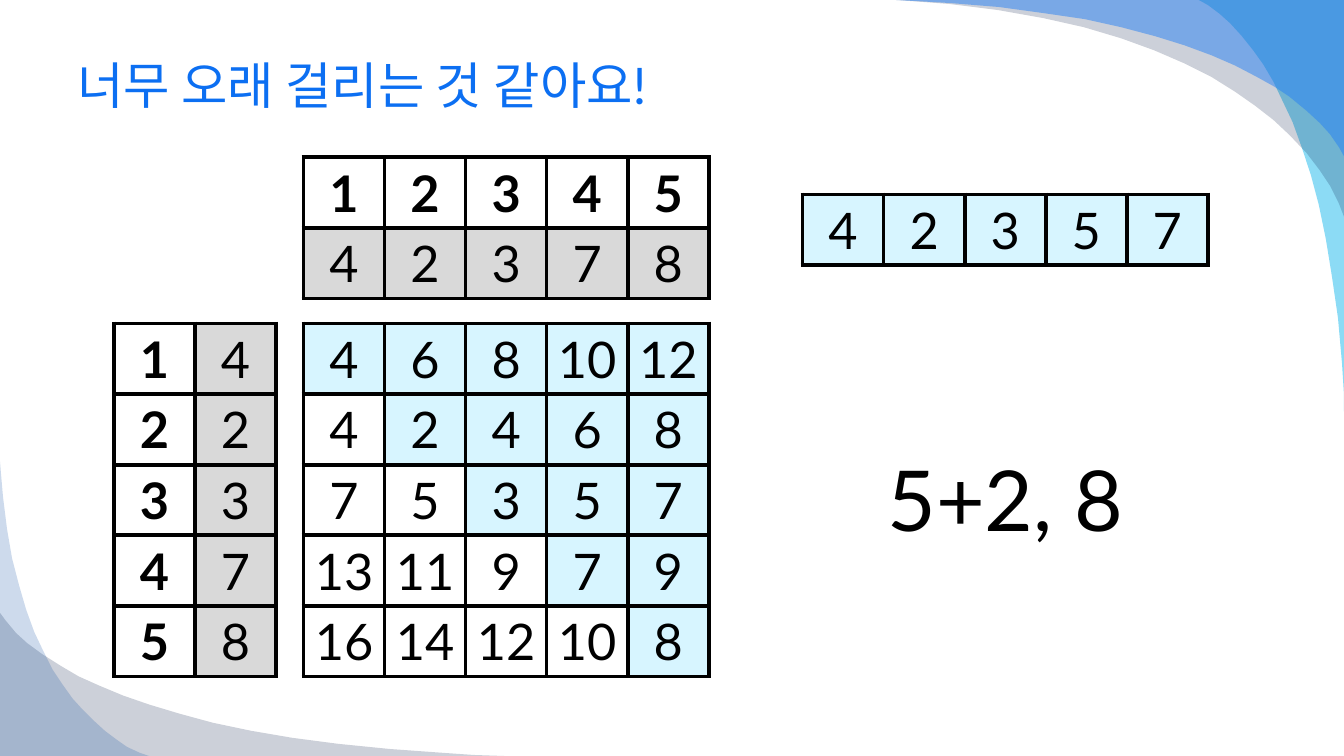
from collections.abc import Callable
from dataclasses import dataclass

from lxml import etree
from pptx import Presentation
from pptx.dml.color import RGBColor
from pptx.enum.text import MSO_ANCHOR, PP_ALIGN
from pptx.oxml.ns import qn
from pptx.util import Inches, Pt

MIDDLE = MSO_ANCHOR.MIDDLE
CENTER = PP_ALIGN.CENTER
LEFT = PP_ALIGN.LEFT

FONT = "Lato"
COLORS = {
    "black": "000000",
    "white": "FFFFFF",
    "grey": "D9D9D9",
    "ice": "D7F5FF",
    "title": "0C6FF2",
    "cyan": "00B1E9",
    "navy": "021741",
    "azure": "247FF4",
    "royal": "084AA1",
}
CELL_FILLS = {"index": "white", "value": "grey", "range": "ice", "unused": "white"}
COLUMN_WIDTH = 0.804
ROW_HEIGHT = 0.7
BORDER_PT = 3

Point = tuple[float, float]


@dataclass(frozen=True)
class Swoosh:
    color: str
    opacity: int
    outline: tuple[Point, ...]


@dataclass(frozen=True)
class Grid:
    left: float
    top: float
    rows: list[list[int]]
    role: Callable[[int, int], str]


@dataclass(frozen=True)
class Caption:
    text: str
    box: tuple[float, float, float, float]
    size: int
    color: str
    align: PP_ALIGN
    bottom_inset: float


SWOOSHES = (
    Swoosh("cyan", 45, (
        (13.33, 4.08), (13.33, 0), (11.89, 0), (11.98, 0.05), (12.1, 0.14),
        (12.2, 0.23), (12.31, 0.35), (12.43, 0.5), (12.53, 0.64), (12.63, 0.81),
        (12.72, 1), (12.82, 1.21), (12.91, 1.46), (13, 1.73), (13.08, 2.03),
        (13.15, 2.37), (13.21, 2.74), (13.27, 3.15), (13.31, 3.6), (13.33, 3.92))),
    Swoosh("navy", 20, (
        (8.89, 0), (13.33, 0), (13.33, 2.15), (13.28, 2.02), (13.19, 1.84),
        (13.09, 1.69), (12.96, 1.52), (12.79, 1.34), (12.63, 1.19), (12.45, 1.05),
        (12.25, 0.91), (12.01, 0.76), (11.75, 0.63), (11.45, 0.5), (11.12, 0.38),
        (10.75, 0.27), (10.35, 0.18), (9.9, 0.1), (9.42, 0.04), (9.16, 0.02))),
    Swoosh("azure", 49, (
        (8.89, 0), (13.33, 0), (13.33, 1.55), (13.28, 1.46), (13.19, 1.33),
        (13.09, 1.22), (12.96, 1.1), (12.79, 0.96), (12.64, 0.86), (12.46, 0.76),
        (12.25, 0.65), (12.02, 0.55), (11.75, 0.45), (11.46, 0.36), (11.12, 0.27),
        (10.76, 0.19), (10.35, 0.13), (9.91, 0.07), (9.42, 0.03), (9.07, 0.01))),
    Swoosh("navy", 20, (
        (5, 7.5), (0, 7.5), (0, 6.08), (0.06, 6.16), (0.16, 6.28),
        (0.27, 6.38), (0.42, 6.49), (0.61, 6.61), (0.78, 6.71), (0.98, 6.8),
        (1.22, 6.9), (1.48, 6.99), (1.78, 7.08), (2.11, 7.17), (2.49, 7.25),
        (2.9, 7.32), (3.36, 7.38), (3.86, 7.43), (4.41, 7.47), (4.7, 7.49))),
    Swoosh("royal", 20, (
        (0, 4.58), (0, 7.5), (1.48, 7.5), (1.39, 7.47), (1.26, 7.41),
        (1.16, 7.34), (1.04, 7.25), (0.92, 7.14), (0.82, 7.04), (0.72, 6.93),
        (0.62, 6.79), (0.52, 6.64), (0.43, 6.46), (0.34, 6.27), (0.26, 6.05),
        (0.19, 5.81), (0.12, 5.54), (0.07, 5.25), (0.03, 4.93), (0.01, 4.7))),
)

INDICES = [1, 2, 3, 4, 5]
VALUES = [4, 2, 3, 7, 8]
COSTS = [
    [4, 6, 8, 10, 12],
    [4, 2, 4, 6, 8],
    [7, 5, 3, 5, 7],
    [13, 11, 9, 7, 9],
    [16, 14, 12, 10, 8],
]
GRIDS = (
    Grid(1.13, 3.21, [list(pair) for pair in zip(INDICES, VALUES)],
         lambda row, column: "value" if column else "index"),
    Grid(3.01, 1.56, [INDICES, VALUES],
         lambda row, column: "value" if row else "index"),
    Grid(3.01, 3.21, COSTS,
         lambda row, column: "range" if column >= row else "unused"),
    Grid(7.96, 1.93, [[4, 2, 3, 5, 7]], lambda row, column: "range"),
)
CAPTIONS = (
    Caption("너무 오래 걸리는 것 같아요!", (0.67, 0.33, 12, 1.01), 36, "title", LEFT, 0.05),
    Caption("5+2, 8", (7.96, 3.21, 4.02, 3.61), 60, "black", CENTER, 0.2),
)


def rgb(color: str) -> RGBColor:
    return RGBColor.from_string(COLORS[color])


def write(frame, text: str, size: int, color: str, align: PP_ALIGN, bold: bool = False) -> None:
    paragraph = frame.paragraphs[0]
    paragraph.alignment = align
    run = paragraph.add_run()
    run.text = text
    for name, value in {"name": FONT, "size": Pt(size), "bold": bold}.items():
        setattr(run.font, name, value)
    run.font.color.rgb = rgb(color)


def draw_swoosh(slide, swoosh: Swoosh) -> None:
    start, *others = [(Inches(x), Inches(y)) for x, y in swoosh.outline]
    builder = slide.shapes.build_freeform(*start)
    builder.add_line_segments(others, close=True)
    shape = builder.convert_to_shape()
    shape.shadow.inherit = False
    shape.line.fill.background()
    shape.fill.solid()
    shape.fill.fore_color.rgb = rgb(swoosh.color)
    tint = shape.element.spPr.find(f"{qn('a:solidFill')}/{qn('a:srgbClr')}")
    etree.SubElement(tint, qn("a:alpha"), val=str(swoosh.opacity * 1000))


def add_borders(cell) -> None:
    properties = cell._tc.get_or_add_tcPr()
    for side in ("lnL", "lnR", "lnT", "lnB"):
        line = etree.SubElement(properties, qn(f"a:{side}"), w=str(Pt(BORDER_PT)))
        fill = etree.SubElement(line, qn("a:solidFill"))
        etree.SubElement(fill, qn("a:srgbClr"), val=COLORS["black"])


def draw_grid(slide, grid: Grid) -> None:
    row_count, column_count = len(grid.rows), len(grid.rows[0])
    table = slide.shapes.add_table(
        row_count, column_count, Inches(grid.left), Inches(grid.top),
        Inches(COLUMN_WIDTH * column_count), Inches(ROW_HEIGHT * row_count)).table
    table.first_row = table.horz_banding = False
    for row, numbers in enumerate(grid.rows):
        for column, number in enumerate(numbers):
            role = grid.role(row, column)
            cell = table.cell(row, column)
            cell.vertical_anchor = MIDDLE
            add_borders(cell)
            cell.fill.solid()
            cell.fill.fore_color.rgb = rgb(CELL_FILLS[role])
            write(cell.text_frame, str(number), 36, "black", CENTER, role == "index")


def draw_caption(slide, caption: Caption) -> None:
    frame = slide.shapes.add_textbox(*map(Inches, caption.box)).text_frame
    layout = {"word_wrap": True, "vertical_anchor": MIDDLE,
              "margin_bottom": Inches(caption.bottom_inset)}
    for name, value in layout.items():
        setattr(frame, name, value)
    write(frame, caption.text, caption.size, caption.color, caption.align)


def main() -> None:
    deck = Presentation()
    deck.slide_width, deck.slide_height = Inches(13.33), Inches(7.5)
    slide = deck.slides.add_slide(deck.slide_layouts[6])
    for swoosh in SWOOSHES:
        draw_swoosh(slide, swoosh)
    for grid in GRIDS:
        draw_grid(slide, grid)
    for caption in CAPTIONS:
        draw_caption(slide, caption)
    deck.save("out.pptx")


if __name__ == "__main__":
    main()
